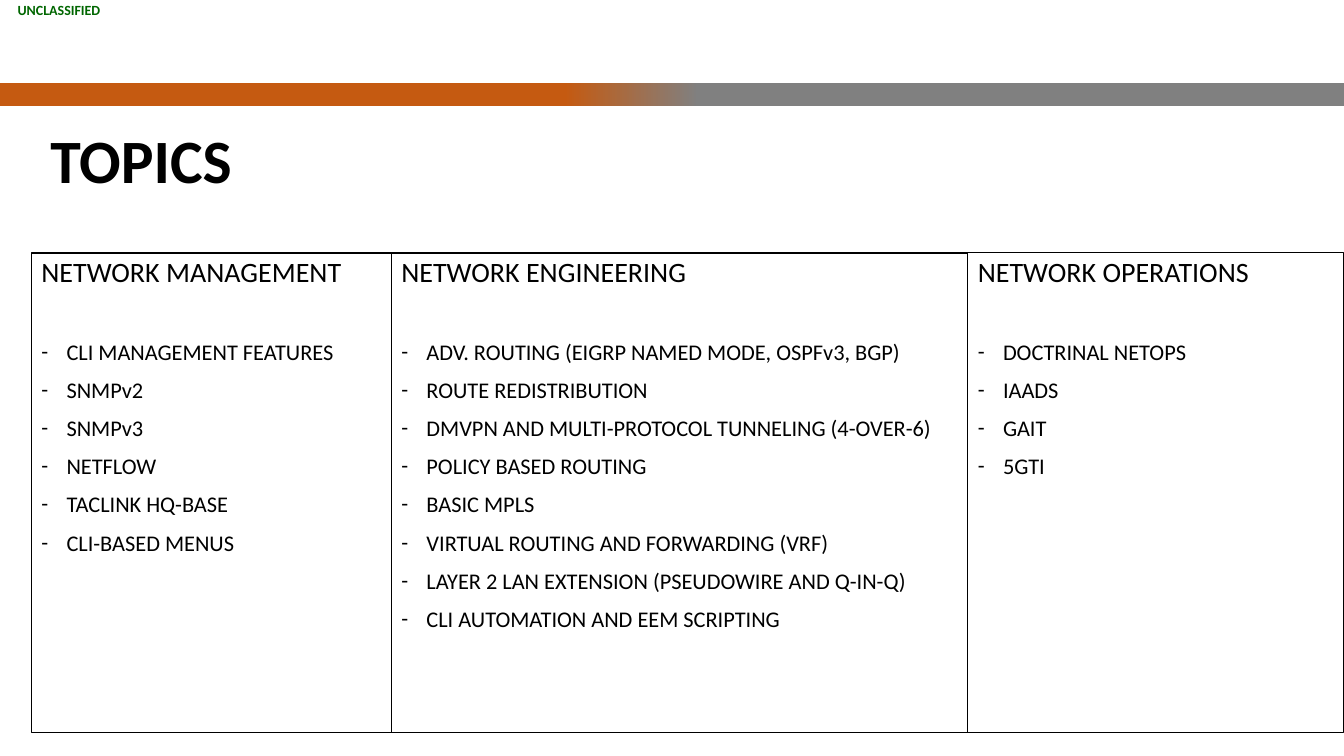
from dataclasses import dataclass

from lxml.etree import SubElement
from pptx import Presentation
from pptx.dml.color import RGBColor as RGB
from pptx.enum.shapes import MSO_SHAPE as SHAPE
from pptx.enum.text import MSO_ANCHOR as ANCHOR, MSO_AUTO_SIZE as FIT, PP_ALIGN as ALIGN
from pptx.oxml.ns import qn
from pptx.util import Inches, Pt

MARKING = "UNCLASSIFIED"
TITLE = "TOPICS"
COLUMNS = [
    ("NETWORK MANAGEMENT", 3.57, [
        "CLI MANAGEMENT FEATURES",
        "SNMPv2",
        "SNMPv3",
        "NETFLOW",
        "TACLINK HQ-BASE",
        "CLI-BASED MENUS",
    ]),
    ("NETWORK ENGINEERING", 5.72, [
        "ADV. ROUTING (EIGRP NAMED MODE, OSPFv3, BGP)",
        "ROUTE REDISTRIBUTION",
        "DMVPN AND MULTI-PROTOCOL TUNNELING (4-OVER-6)",
        "POLICY BASED ROUTING",
        "BASIC MPLS",
        "VIRTUAL ROUTING AND FORWARDING (VRF)",
        "LAYER 2 LAN EXTENSION (PSEUDOWIRE AND Q-IN-Q)",
        "CLI AUTOMATION AND EEM SCRIPTING",
    ]),
    ("NETWORK OPERATIONS", 3.73, [
        "DOCTRINAL NETOPS",
        "IAADS",
        "GAIT",
        "5GTI",
    ]),
]


@dataclass(frozen=True)
class Theme:
    font: str = "Calibri"
    text: RGB = RGB(0, 0, 0)
    paper: RGB = RGB(0xFF, 0xFF, 0xFF)
    marking: RGB = RGB(0, 0x66, 0)
    gray: RGB = RGB(0x80, 0x80, 0x80)
    orange: RGB = RGB(0xC5, 0x5A, 0x11)
    title_size: int = 44
    heading_size: int = 20
    item_size: int = 16
    marking_size: int = 10
    line_spacing: float = 0.9


THEME = Theme()
SLIDE_W, SLIDE_H = 13.33, 7.5
COLUMN_LEFT, COLUMN_TOP, COLUMN_H = 0.31, 2.51, 4.76
INDENT = 0.25
ITEM_GAP, LIST_GAP = 10, 37.6


def place(s, left, top, width, height):
    s.left, s.top = Inches(left), Inches(top)
    s.width, s.height = Inches(width), Inches(height)


def add_rect(slide, *box):
    s = slide.shapes.add_shape(SHAPE.RECTANGLE, *map(Inches, box))
    s.shadow.inherit = False
    s.line.fill.background()
    return s


def add_text(p, text, size, color=THEME.text, bold=False):
    r = p.add_run()
    r.text = text
    r.font.name, r.font.size, r.font.bold = THEME.font, Pt(size), bold
    r.font.color.rgb = color


def set_bullet(p, char=None):
    pPr = p._p.get_or_add_pPr()
    indent = Inches(INDENT) if char else 0
    pPr.set("marL", str(indent))
    pPr.set("indent", str(-indent))
    if char:
        SubElement(pPr, qn("a:buFont")).set("typeface", THEME.font)
        SubElement(pPr, qn("a:buChar")).set("char", char)
    else:
        SubElement(pPr, qn("a:buNone"))


def fill_column(s, heading, items):
    s.line.color.rgb = THEME.text
    s.line.width = Pt(0.75)
    tf = s.text_frame
    tf.word_wrap, tf.auto_size = True, FIT.NONE
    tf.vertical_anchor = ANCHOR.TOP
    for i, text in enumerate([heading] + items):
        p = tf.add_paragraph() if i else tf.paragraphs[0]
        set_bullet(p, "-" if i else None)
        p.alignment = ALIGN.LEFT
        p.line_spacing = THEME.line_spacing
        p.space_before = Pt((0, LIST_GAP)[i] if i < 2 else ITEM_GAP)
        add_text(p, text, THEME.item_size if i else THEME.heading_size)


def add_band(slide):
    s = add_rect(slide, 0, 0.82, SLIDE_W, 0.23)
    s.fill.gradient()
    s.fill.gradient_angle = 180
    stops = [(0.48, THEME.gray), (0.58, THEME.orange)]
    for stop, (position, color) in zip(s.fill.gradient_stops, stops):
        stop.position = position
        stop.color.rgb = color


def add_marking(slide):
    s = add_rect(slide, 0, 0.01, 1.17, 0.17)
    s.fill.solid()
    s.fill.fore_color.rgb = THEME.paper
    tf = s.text_frame
    tf.margin_left = tf.margin_right = tf.margin_top = tf.margin_bottom = 0
    p = tf.paragraphs[0]
    p.alignment = ALIGN.CENTER
    add_text(p, MARKING, THEME.marking_size, THEME.marking, True)


def add_title(slide):
    s = slide.shapes.title
    place(s, 0.4, 1.24, 11.5, 0.77)
    tf = s.text_frame
    tf.auto_size, tf.vertical_anchor = FIT.NONE, ANCHOR.MIDDLE
    p = tf.paragraphs[0]
    p.alignment, p.line_spacing = ALIGN.LEFT, THEME.line_spacing
    add_text(p, TITLE, THEME.title_size, bold=True)


def add_columns(slide):
    bodies = [slide.placeholders[1], slide.placeholders[2],
              slide.shapes.add_textbox(0, 0, 0, 0)]
    left = COLUMN_LEFT
    for s, (heading, width, items) in zip(bodies, COLUMNS):
        place(s, left, COLUMN_TOP, width, COLUMN_H)
        fill_column(s, heading, items)
        left += width


def main():
    prs = Presentation()
    prs.slide_width, prs.slide_height = Inches(SLIDE_W), Inches(SLIDE_H)
    slide = prs.slides.add_slide(prs.slide_layouts.get_by_name("Two Content"))
    add_band(slide)
    add_marking(slide)
    add_title(slide)
    add_columns(slide)
    prs.save("out.pptx")


if __name__ == "__main__":
    main()
